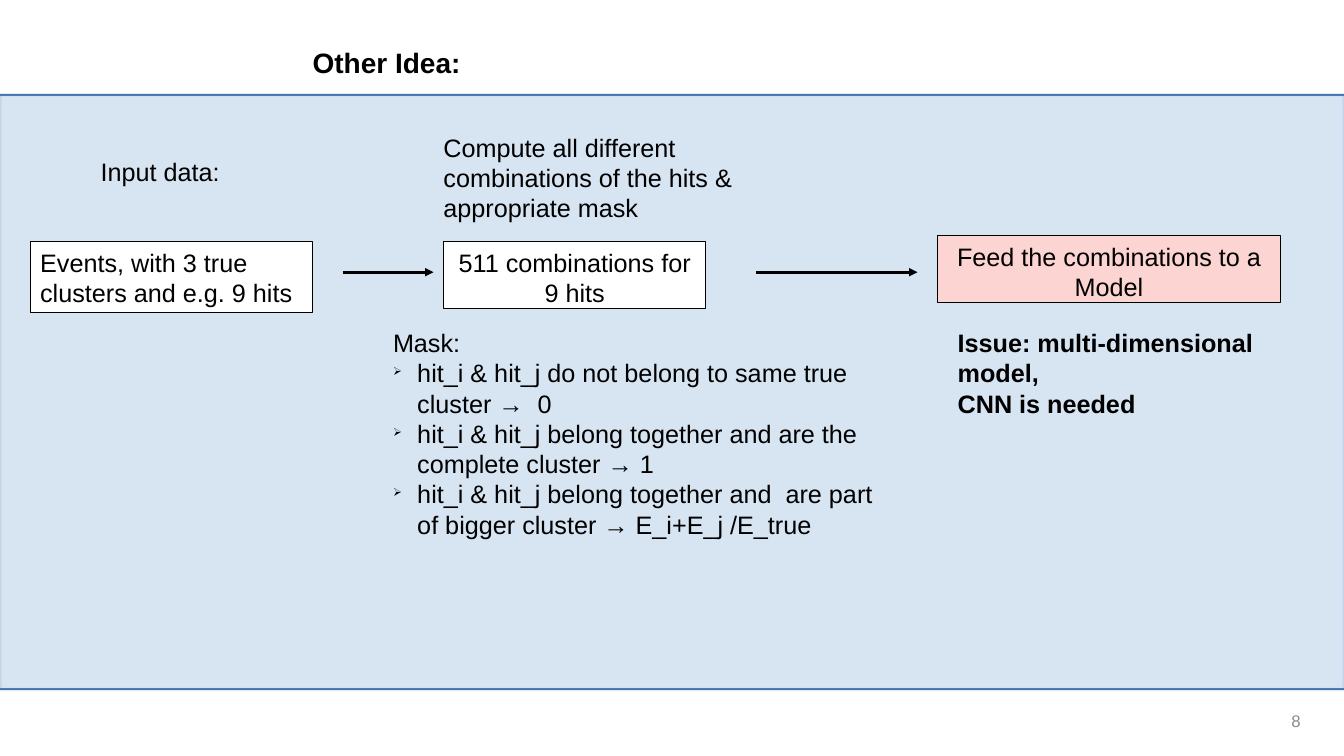
from dataclasses import dataclass

from lxml.etree import SubElement
from pptx import Presentation
from pptx.dml.color import RGBColor
from pptx.enum.shapes import MSO_CONNECTOR, MSO_SHAPE
from pptx.enum.text import MSO_ANCHOR, MSO_AUTO_SIZE, PP_ALIGN
from pptx.oxml.ns import qn
from pptx.util import Inches, Pt

BLACK, WHITE, PINK, GREY = "000000", "FFFFFF", "FCD4D1", "8B8B8B"
RULE, PANEL = "3465A4", "729FCF"
PANEL_TOP, PANEL_BOTTOM, SLIDE_WIDTH = 0.94, 6.84, 13.33
ARROW_Y = 2.7
BULLET_INDENT = 0.24


@dataclass
class Label:
    """Text block; a filled one is drawn as an outlined box."""
    box: tuple[float, float, float, float]
    lines: list[str]
    fill: str | None = None
    align: PP_ALIGN = PP_ALIGN.LEFT
    bold: bool = False
    size: int = 18
    color: str = BLACK
    bullets_from: int | None = None
    anchor: MSO_ANCHOR = MSO_ANCHOR.TOP
    grow: bool = True


@dataclass
class Line:
    """Straight line, optionally with an arrowhead at its end."""
    x1: float
    x2: float
    y: float
    color: str
    width: float
    arrow: bool = False


TITLE = Label((3, 0.4, 7.4, 0.41), ["Other Idea:"], bold=True, size=20)
LABELS = [
    Label((0.9, 1.5, 2.3, 0.38), ["Input data:"]),
    Label((0.3, 2.4, 2.8, 0.7), ["Events, with 3 true clusters and e.g. 9 hits"], WHITE),
    Label((4.3, 1.26, 3.2, 0.94),
          ["Compute all different combinations of the hits & appropriate mask"]),
    Label((4.4, 2.4, 2.6, 0.66), ["511 combinations for 9 hits"], WHITE, PP_ALIGN.CENTER),
    Label((9.3, 2.34, 3.4, 0.66), ["Feed the combinations to a Model"], PINK, PP_ALIGN.CENTER),
    Label((3.8, 3.2, 5, 3.18), [
        "Mask:",
        "hit_i & hit_j do not belong to same true cluster →  0",
        "hit_i & hit_j belong together and are the complete cluster → 1",
        "hit_i & hit_j belong together and  are part of bigger cluster → E_i+E_j /E_true",
    ], bullets_from=1),
    Label((9.4, 3.2, 3.7, 0.94), ["Issue: multi-dimensional model,", "CNN is needed"], bold=True),
    Label((10, 6.95, 3, 0.4), ["8"], align=PP_ALIGN.RIGHT, size=12, color=GREY,
          anchor=MSO_ANCHOR.MIDDLE, grow=False),
]
RULES = [Line(0, SLIDE_WIDTH, y, RULE, 1.5) for y in (PANEL_BOTTOM, PANEL_TOP)]
ARROWS = [Line(x1, x2, ARROW_Y, BLACK, 0, True) for x1, x2 in ((3.4, 4.3), (7.5, 9.1))]


def rgb(color: str) -> RGBColor:
    """Turn a hex string into a colour."""
    return RGBColor.from_string(color)


def set_alpha(fill_xml, percent: int) -> None:
    """Make the solid colour inside an element partly transparent."""
    color = next(fill_xml.iter(qn("a:srgbClr")))
    SubElement(color, qn("a:alpha"), val=str(percent * 1000))


def add_bullet(p) -> None:
    """Give a paragraph a small arrow bullet with a hanging indent."""
    pPr = p._p.get_or_add_pPr()
    indent = Inches(BULLET_INDENT)
    pPr.set("marL", str(indent))
    pPr.set("indent", str(-indent))
    SubElement(SubElement(pPr, qn("a:buClr")), qn("a:srgbClr"), val=BLACK)
    SubElement(pPr, qn("a:buSzPct"), val="45000")
    SubElement(pPr, qn("a:buChar"), char="➢")


def write_text(sp, label: Label) -> None:
    """Fill a shape with the text of a label."""
    tf = sp.text_frame
    frame = {
        "word_wrap": True, "vertical_anchor": label.anchor,
        "margin_left": Inches(0.1), "margin_right": Inches(0.1),
        "margin_top": Inches(0.05), "margin_bottom": Inches(0.05),
        "auto_size": MSO_AUTO_SIZE.SHAPE_TO_FIT_TEXT if label.grow else MSO_AUTO_SIZE.NONE,
    }
    for name, value in frame.items():
        setattr(tf, name, value)
    for i, line in enumerate(label.lines):
        p = tf.add_paragraph() if i else tf.paragraphs[0]
        p.alignment = label.align
        if label.bullets_from is not None and i >= label.bullets_from:
            add_bullet(p)
        r = p.add_run()
        r.text = line
        for name, value in {"name": "Arial", "size": Pt(label.size), "bold": label.bold}.items():
            setattr(r.font, name, value)
        r.font.color.rgb = rgb(label.color)


def add_rect(s, box: tuple, fill: str, line: str, width: float):
    """Add a plain filled rectangle with an outline."""
    sp = s.shapes.add_shape(MSO_SHAPE.RECTANGLE, *map(Inches, box))
    sp.shadow.inherit = False
    sp.fill.solid()
    sp.fill.fore_color.rgb = rgb(fill)
    sp.line.color.rgb = rgb(line)
    sp.line.width = Pt(width)
    return sp


def add_panel(s) -> None:
    """Add the translucent panel behind the content."""
    box = (0, PANEL_TOP, SLIDE_WIDTH, PANEL_BOTTOM - PANEL_TOP)
    sp = add_rect(s, box, PANEL, PANEL, 2.3)
    spPr = sp._element.spPr
    set_alpha(spPr.find(qn("a:solidFill")), 28)
    set_alpha(spPr.find(qn("a:ln")), 20)


def add_title(s, label: Label) -> None:
    """Place and format the title placeholder."""
    sp = s.shapes.title
    for name, value in zip(("left", "top", "width", "height"), label.box):
        setattr(sp, name, Inches(value))
    write_text(sp, label)


def add_label(s, label: Label) -> None:
    """Add a text box or an outlined box with text."""
    if label.fill:
        sp = add_rect(s, label.box, label.fill, BLACK, 0)
    else:
        sp = s.shapes.add_textbox(*map(Inches, label.box))
    write_text(sp, label)


def add_line(s, line: Line) -> None:
    """Add a horizontal line or arrow."""
    ends = map(Inches, (line.x1, line.y, line.x2, line.y))
    cxn = s.shapes.add_connector(MSO_CONNECTOR.STRAIGHT, *ends)
    cxn.line.color.rgb = rgb(line.color)
    cxn.line.width = Pt(line.width)
    if line.arrow:
        SubElement(cxn.line._get_or_add_ln(), qn("a:tailEnd"), type="triangle")
    SubElement(cxn._element.spPr, qn("a:effectLst"))


def main() -> None:
    """Build the slide and save it."""
    prs = Presentation()
    prs.slide_width, prs.slide_height = Inches(SLIDE_WIDTH), Inches(7.5)
    s = prs.slides.add_slide(prs.slide_layouts[5])
    for line in RULES:
        add_line(s, line)
    add_panel(s)
    add_title(s, TITLE)
    for label in LABELS:
        add_label(s, label)
    for line in ARROWS:
        add_line(s, line)
    prs.save("out.pptx")


if __name__ == "__main__":
    main()
